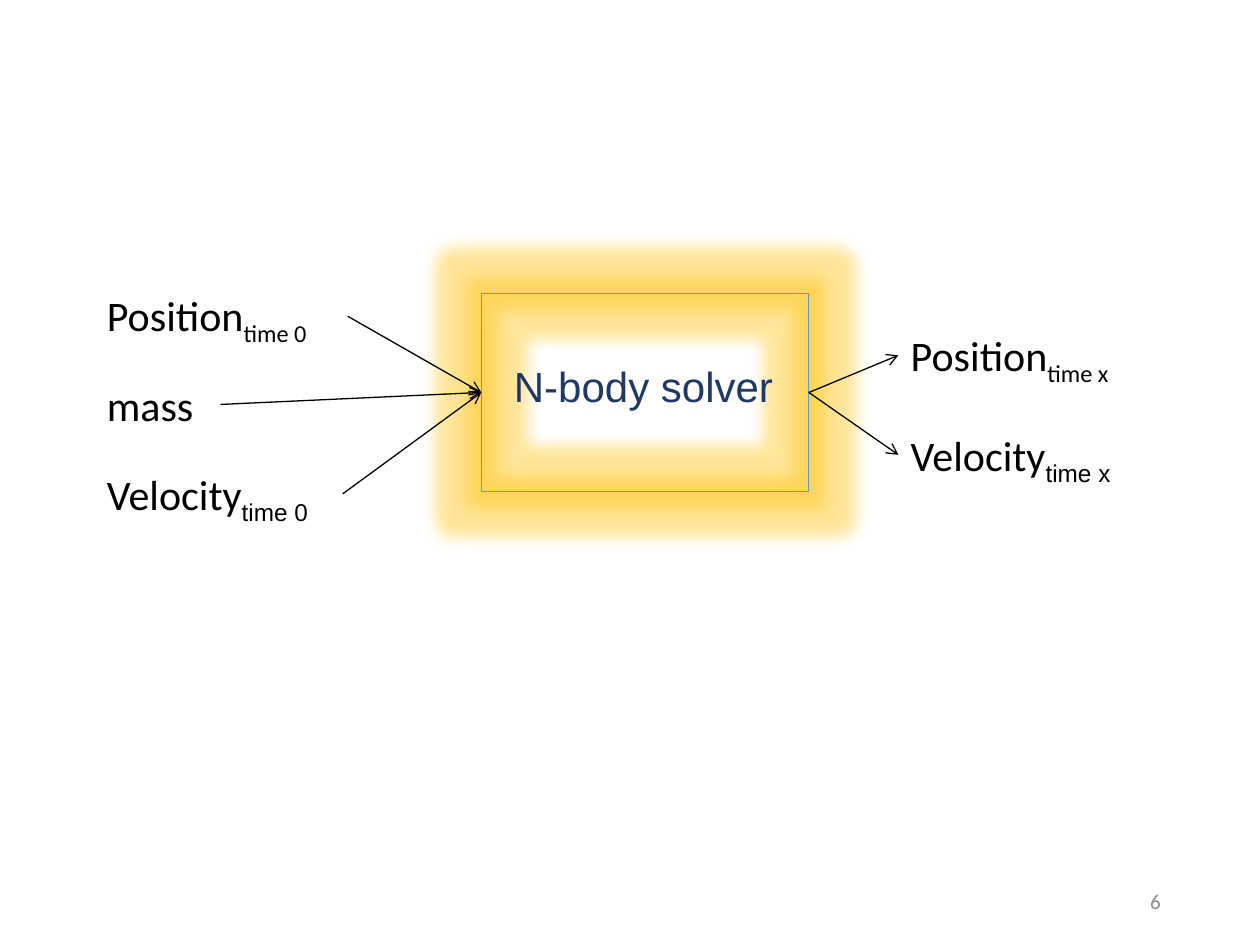
from lxml.etree import SubElement
from pptx import Presentation
from pptx.dml.color import RGBColor
from pptx.enum.shapes import MSO_CONNECTOR as Connector, MSO_SHAPE as Shape
from pptx.enum.text import MSO_ANCHOR as Anchor, PP_ALIGN as Align
from pptx.oxml.ns import qn
from pptx.util import Inches, Pt

BLACK = "000000"
LEFT_COLUMN, RIGHT_COLUMN = 0.75, 7.13
SOLVER_LEFT, SOLVER_TOP, SOLVER_WIDTH, SOLVER_HEIGHT = 3.82, 2.33, 2.6, 1.57
SOLVER_RIGHT = SOLVER_LEFT + SOLVER_WIDTH
SOLVER_MIDDLE = SOLVER_TOP + SOLVER_HEIGHT / 2

# left, top, width, height, word, subscript, subscript font
QUANTITIES = [
    (LEFT_COLUMN, 2.25, 2.01, 0.51, "Position", "time 0", "Calibri"),
    (LEFT_COLUMN, 2.96, 1.01, 0.51, "mass", "", "Calibri"),
    (LEFT_COLUMN, 3.67, 1.97, 0.5, "Velocity", "time 0", "Arial"),
    (RIGHT_COLUMN, 2.57, 2, 0.5, "Position", "time x", "Calibri"),
    (RIGHT_COLUMN, 3.36, 2.04, 0.51, "Velocity", "time x", "Arial"),
]


def color(value):
    return RGBColor.from_string(value)


def add_run(paragraph, text, size=24, font="Calibri", ink=BLACK, baseline=0):
    run = paragraph.add_run()
    run.text = text
    run.font.name = font
    run.font.size = Pt(size)
    run.font.color.rgb = color(ink)
    if baseline:
        run.font._element.set("baseline", str(baseline * 1000))


def add_text_box(shapes, left, top, width, height):
    """Add a one-line text box and return its frame."""
    box = shapes.add_textbox(*map(Inches, (left, top, width, height)))
    box.text_frame.word_wrap = False
    return box.text_frame


def add_quantity(slide, left, top, width, height, word, subscript, font):
    frame = add_text_box(slide.shapes, left, top, width, height)
    paragraph = frame.paragraphs[0]
    add_run(paragraph, word)
    if subscript:
        add_run(paragraph, subscript, font=font, baseline=-25)


def add_glow(shape, radius, ink, opacity):
    effects = shape._element.spPr.find(qn("a:effectLst"))
    glow = SubElement(effects, qn("a:glow"), rad=str(Pt(radius)))
    glow_color = SubElement(glow, qn("a:srgbClr"), val=ink)
    SubElement(glow_color, qn("a:alpha"), val=str(opacity * 1000))


def add_solver(slide):
    group = slide.shapes.add_group_shape()
    frame = group.shapes.add_shape(Shape.RECTANGLE, *map(
        Inches, (SOLVER_LEFT, SOLVER_TOP, SOLVER_WIDTH, SOLVER_HEIGHT)))
    frame.shadow.inherit = False
    frame.fill.background()
    frame.line.color.rgb = color("5B9BD5")
    frame.line.width = Pt(0.75)
    add_glow(frame, 18, "FFC000", 40)
    label = add_text_box(group.shapes, 3.98, 2.81, 2.28, 0.51)
    add_run(label.paragraphs[0], "N-body solver", font="Arial", ink="203864")


def add_arrow(slide, start, end):
    arrow = slide.shapes.add_connector(
        Connector.STRAIGHT, *map(Inches, (*start, *end)))
    arrow.line.color.rgb = color(BLACK)
    arrow.line.width = Pt(0.75)
    SubElement(arrow.line._get_or_add_ln(), qn("a:tailEnd"), type="arrow")
    SubElement(arrow._element.spPr, qn("a:effectLst"))


def add_slide_number(slide, number):
    frame = add_text_box(slide.shapes, 7.06, 6.95, 2.25, 0.4)
    frame.word_wrap = True
    frame.vertical_anchor = Anchor.MIDDLE
    paragraph = frame.paragraphs[0]
    paragraph.alignment = Align.RIGHT
    add_run(paragraph, str(number), size=12, ink="8C8C8C")


def main():
    presentation = Presentation()
    presentation.slide_width, presentation.slide_height = Inches(10), Inches(7.5)
    slide = presentation.slides.add_slide(presentation.slide_layouts[6])

    add_solver(slide)
    for quantity in QUANTITIES:
        add_quantity(slide, *quantity)
    for start in [(2.76, 2.51), (1.75, 3.21), (2.72, 3.92)]:
        add_arrow(slide, start, (SOLVER_LEFT, SOLVER_MIDDLE))
    for end_y in (2.82, 3.61):
        add_arrow(slide, (SOLVER_RIGHT, SOLVER_MIDDLE), (RIGHT_COLUMN, end_y))
    add_slide_number(slide, 6)
    presentation.save("out.pptx")


if __name__ == "__main__":
    main()
